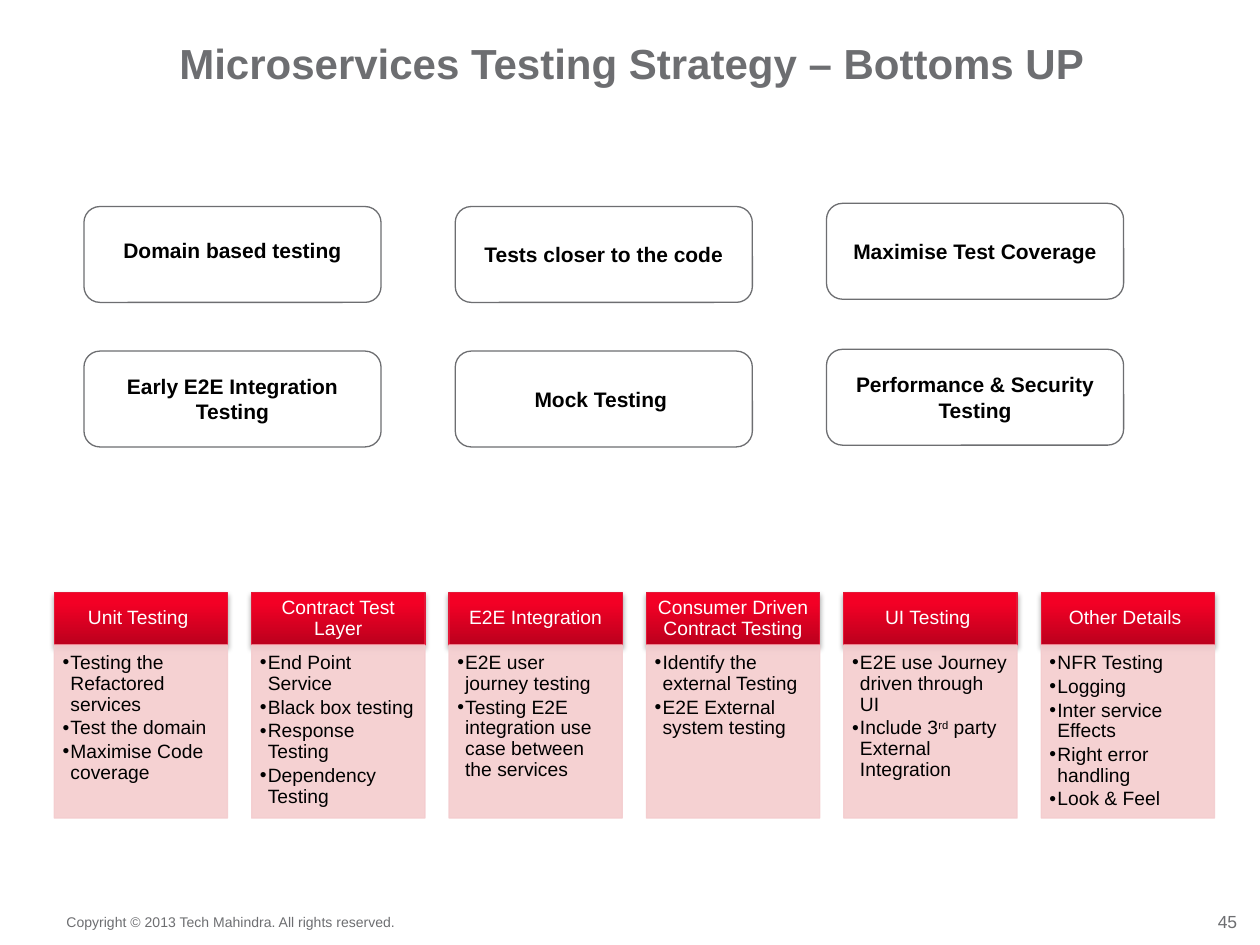
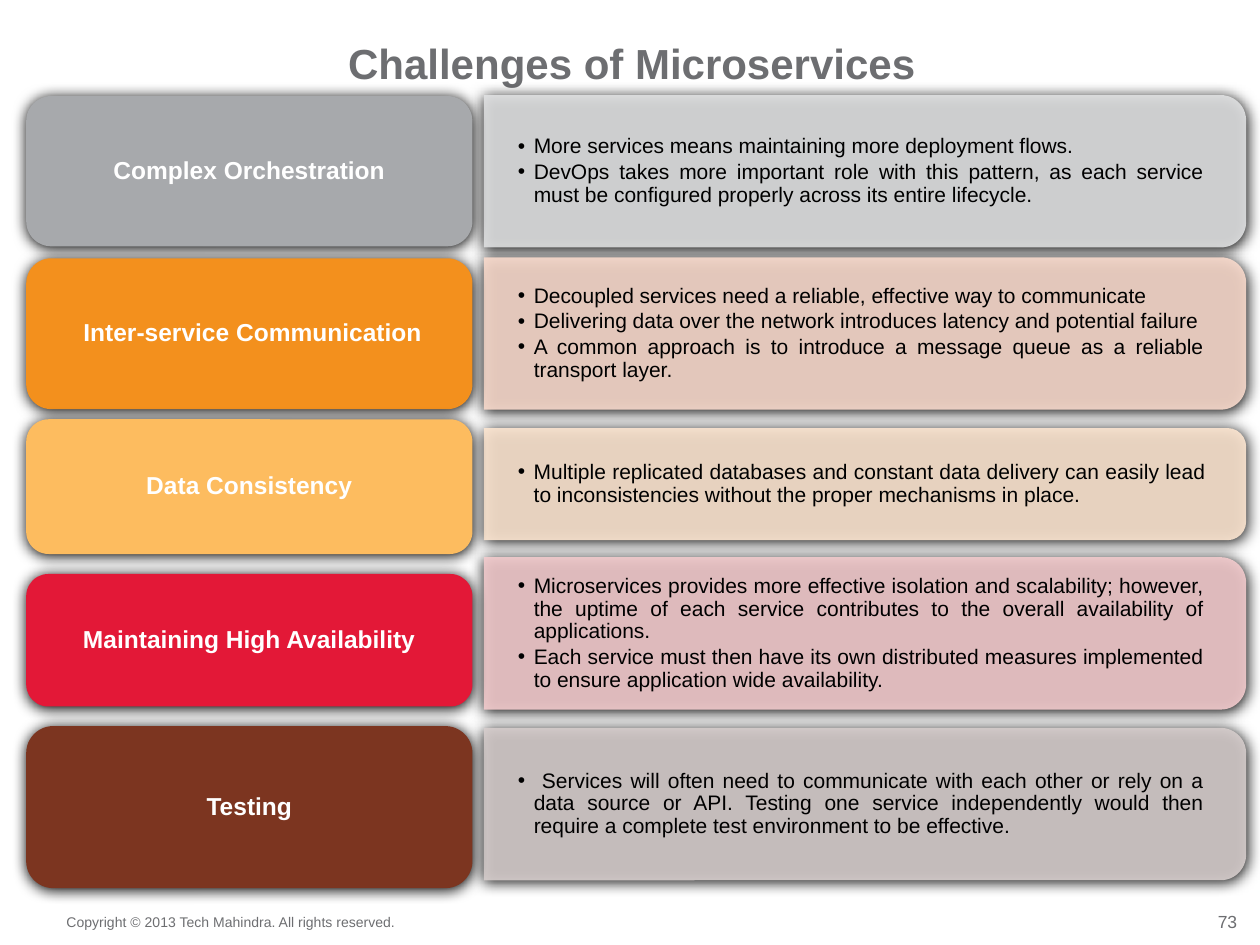
import pptx
import pptx.util
import pptx.dml.color
import pptx.enum.shapes
import pptx.enum.text
import lxml.etree

Pt = pptx.util.Pt
RGBColor = pptx.dml.color.RGBColor
SHAPE = pptx.enum.shapes.MSO_SHAPE
ALIGN = pptx.enum.text.PP_ALIGN
ANCHOR = pptx.enum.text.MSO_ANCHOR
DRAWING = "{http://schemas.openxmlformats.org/drawingml/2006/main}"

FONT = "Arial"
GRAY = RGBColor(0x6D, 0x6E, 0x71)
WHITE = RGBColor(0xFF, 0xFF, 0xFF)
BLACK = RGBColor(0x00, 0x00, 0x00)
RED = RGBColor(0xE3, 0x18, 0x37)
DARK_RED = RGBColor(0xBB, 0x00, 0x1D)
BRIGHT_RED = RGBColor(0xF3, 0x00, 0x25)
PINK = RGBColor(0xF4, 0xCC, 0xCE)
SILVER = RGBColor(0xA7, 0xA9, 0xAC)
PALE_SILVER = RGBColor(0xE1, 0xE2, 0xE3)
ORANGE = RGBColor(0xF3, 0x90, 0x1D)
PALE_ORANGE = RGBColor(0xFA, 0xDB, 0xCD)
AMBER = RGBColor(0xFD, 0xBC, 0x5F)
PALE_AMBER = RGBColor(0xFE, 0xE7, 0xD2)
BROWN = RGBColor(0x7C, 0x35, 0x20)
PALE_BROWN = RGBColor(0xD7, 0xCE, 0xCD)

# Shadows: opacity in percent, blur and distance in points
HEADER_SHADOW = (35, 3.1, 1.8)
TILE_SHADOW = (100, 8.5, 1)


def add_box(slide, kind, box, fill, line=None, opacity=100, shadow=None):
    """Add a preset shape; box is left, top, width, height in points."""
    shape = slide.shapes.add_shape(kind, *[Pt(length) for length in box])
    shape.fill.solid()
    shape.fill.fore_color.rgb = fill
    if line is None:
        shape.line.fill.background()
    else:
        shape.line.color.rgb = line
        shape.line.width = Pt(0.75)
    if opacity < 100:
        for color in shape._element.spPr.iter(DRAWING + "srgbClr"):
            lxml.etree.SubElement(color, DRAWING + "alpha", val=str(opacity * 1000))
    shape.shadow.inherit = False
    if shadow:
        strength, blur, distance = shadow
        effects = shape._element.spPr.find(DRAWING + "effectLst")
        outer = lxml.etree.SubElement(
            effects, DRAWING + "outerShdw", blurRad=str(Pt(blur)),
            dist=str(Pt(distance)), dir="5400000", rotWithShape="0")
        color = lxml.etree.SubElement(outer, DRAWING + "srgbClr", val="000000")
        lxml.etree.SubElement(color, DRAWING + "alpha", val=str(strength * 1000))
    return shape


def write_text(shape, lines, size, color, bold=False, align=ALIGN.LEFT, anchor=ANCHOR.MIDDLE,
               insets=(0, 0, 0, 0), wrap=True, spacing=1, bullet_indent=0):
    """Fill a shape with paragraphs; text between carets is superscript."""
    frame = shape.text_frame
    left, top, right, bottom = [Pt(inset) for inset in insets]
    frame_format = {"word_wrap": wrap, "vertical_anchor": anchor, "margin_left": left,
                    "margin_top": top, "margin_right": right, "margin_bottom": bottom}
    for name, value in frame_format.items():
        setattr(frame, name, value)
    for number, line in enumerate(lines):
        paragraph = frame.add_paragraph() if number else frame.paragraphs[0]
        paragraph.alignment = align
        paragraph.line_spacing = spacing
        if bullet_indent:
            properties = paragraph._p.get_or_add_pPr()
            properties.set("marL", str(Pt(bullet_indent)))
            properties.set("indent", str(-Pt(bullet_indent)))
            lxml.etree.SubElement(properties, DRAWING + "buFont", typeface=FONT)
            lxml.etree.SubElement(properties, DRAWING + "buChar", char="•")
            paragraph.space_after = Pt(0.15 * size)
        for position, part in enumerate(line.split("^")):
            run = paragraph.add_run()
            run.text = part
            run_format = {"name": FONT, "size": Pt(size), "bold": bold}
            for name, value in run_format.items():
                setattr(run.font, name, value)
            run.font.color.rgb = color
            if position % 2:
                run._r.get_or_add_rPr().set("baseline", "30000")


presentation = pptx.Presentation()
presentation.slide_width = Pt(720)
presentation.slide_height = Pt(540)

# Title, copyright line and page number of each slide
slides = []
for title, page in (("Microservices Testing Strategy – Bottoms UP", "45"),
                    ("Challenges of Microservices", "73")):
    slide = presentation.slides.add_slide(presentation.slide_layouts[6])
    slides.append(slide)
    for text, box, text_format in (
        (page, (694.8, 520.6, 12.2, 12.2),
         {"size": 10, "align": ALIGN.RIGHT, "wrap": False}),
        ("Copyright © 2013 Tech Mahindra. All rights reserved.", (38, 522, 191.5, 9.4),
         {"size": 8, "anchor": ANCHOR.TOP, "wrap": False}),
        (title, (5.4, 21.6, 711.2, 28.8),
         {"size": 24, "bold": True, "align": ALIGN.CENTER, "anchor": ANCHOR.TOP}),
    ):
        text_box = slide.shapes.add_textbox(*[Pt(length) for length in box])
        write_text(text_box, [text], color=GRAY, **text_format)

strategy_slide, challenges_slide = slides

# Testing layers: a red header above a pink list
LAYER_LEFT, LAYER_PITCH, LAYER_WIDTH = 31, 112.8, 99
HEADER_TOP, HEADER_HEIGHT, LIST_HEIGHT = 338.4, 30.2, 98.9
layers = (
    ("Unit Testing ",
     ["Testing the Refactored services", "Test the domain", "Maximise Code coverage"]),
    ("Contract Test Layer",
     ["End Point Service", "Black box testing", "Response Testing", "Dependency Testing"]),
    ("E2E Integration",
     ["E2E user journey testing", "Testing E2E integration use case between the services"]),
    ("Consumer Driven Contract Testing",
     ["Identify the external Testing", "E2E External system testing"]),
    ("UI Testing ",
     ["E2E use Journey driven through UI", "Include 3^rd^ party External Integration"]),
    ("Other Details ",
     ["NFR Testing", "Logging", "Inter service Effects", "Right error handling",
      "Look & Feel"]),
)
for column, (heading, points) in enumerate(layers):
    left = LAYER_LEFT + column * LAYER_PITCH
    header = add_box(strategy_slide, SHAPE.RECTANGLE,
                     (left, HEADER_TOP, LAYER_WIDTH, HEADER_HEIGHT),
                     RED, line=RED, shadow=HEADER_SHADOW)
    header.fill.gradient()
    header.fill.gradient_angle = 90
    for stop, color, position in zip(header.fill.gradient_stops,
                                     (DARK_RED, BRIGHT_RED), (0, 0.8)):
        stop.color.rgb = color
        stop.position = position
    write_text(header, [heading], 11, WHITE, align=ALIGN.CENTER,
               insets=(6.2, 3.5, 6.2, 3.5), spacing=0.9)
    point_list = add_box(strategy_slide, SHAPE.RECTANGLE,
                         (left, HEADER_TOP + HEADER_HEIGHT, LAYER_WIDTH, LIST_HEIGHT),
                         PINK, line=PINK, opacity=90)
    write_text(point_list, points, 11, BLACK, anchor=ANCHOR.TOP,
               insets=(4.7, 4.6, 5.2, 6.9), spacing=0.9, bullet_indent=4.5)

# Principles: three columns of two boxes, the last column slightly higher
principle_columns = (
    (118, 82.6, ("Domain based testing", "Early E2E Integration Testing")),
    (118, 82.6, ("Tests closer to the code", "Mock Testing ")),
    (116.2, 83.4, ("Maximise Test Coverage", "Performance & Security Testing")),
)
for column, (column_top, row_pitch, principles) in enumerate(principle_columns):
    for row, principle in enumerate(principles):
        box = add_box(strategy_slide, SHAPE.ROUNDED_RECTANGLE,
                      (48 + column * 212.15, column_top + row * row_pitch, 169.8, 54.8),
                      WHITE, line=GRAY)
        bottom_inset = 8.4 if row == column == 0 else 3.6
        write_text(box, [principle], 12, BLACK, bold=True, align=ALIGN.CENTER,
                   insets=(7.2, 3.6, 7.2, bottom_inset))

# Challenges: a coloured tile on the left, a pale panel of points on the right
TILE_LEFT, TILE_WIDTH = 15, 255
PANEL_LEFT, PANEL_WIDTH = 276.5, 435.6
# Each row: name, tile colour, tile top and height, panel colour, panel top and height, points
challenges = (
    ("Complex Orchestration", SILVER, 54.9, 85.9, PALE_SILVER, 54.3, 87.1,
     ["More services means maintaining more deployment flows. ",
      "DevOps takes more important role with this pattern, as each service must be "
      "configured properly across its entire lifecycle."]),
    (" Inter-service Communication", ORANGE, 147.6, 86.2, PALE_ORANGE, 147, 87.1,
     ["Decoupled services need a reliable, effective way to communicate",
      "Delivering data over the network introduces latency and potential failure",
      "A common approach is to introduce a message queue as a reliable transport layer."]),
    ("Data Consistency", AMBER, 239.6, 77, PALE_AMBER, 244.6, 64.1,
     ["Multiple replicated databases and constant data delivery can easily lead to "
      "inconsistencies without the proper mechanisms in place."]),
    ("Maintaining High Availability", RED, 328, 75.7, PINK, 318.4, 87.1,
     ["Microservices provides more effective isolation and scalability; however, the uptime "
      "of each service contributes to the overall availability of applications. ",
      "Each service must then have its own distributed measures implemented to ensure "
      "application wide availability."]),
    ("Testing", BROWN, 414.9, 92.6, PALE_BROWN, 415.9, 87.1,
     [" Services will often need to communicate with each other or rely on a data source or "
      "API. Testing one service independently would then require a complete test "
      "environment to be effective."]),
)
for (name, tile_color, tile_top, tile_height,
     panel_color, panel_top, panel_height, points) in challenges:
    # The panel is turned a quarter so that its round corners face right
    turn_shift = (PANEL_WIDTH - panel_height) / 2
    panel = add_box(challenges_slide, SHAPE.ROUND_2_SAME_RECTANGLE,
                    (PANEL_LEFT + turn_shift, panel_top - turn_shift,
                     panel_height, PANEL_WIDTH),
                    panel_color, opacity=90, shadow=TILE_SHADOW)
    panel.rotation = 90
    point_box = challenges_slide.shapes.add_textbox(
        Pt(PANEL_LEFT), Pt(panel_top), Pt(PANEL_WIDTH - 0.05 * panel_height),
        Pt(panel_height))
    write_text(point_box, points, 12, BLACK, align=ALIGN.JUSTIFY,
               insets=(19.5, 9.8, 19.5, 9.8), spacing=0.9, bullet_indent=9)
    tile = add_box(challenges_slide, SHAPE.ROUNDED_RECTANGLE,
                   (TILE_LEFT, tile_top, TILE_WIDTH, tile_height),
                   tile_color, shadow=TILE_SHADOW)
    write_text(tile, [name], 14, WHITE, bold=True, align=ALIGN.CENTER,
               insets=(4.2, 2.1, 4.2, 2.1), spacing=0.9)

presentation.save("out.pptx")
